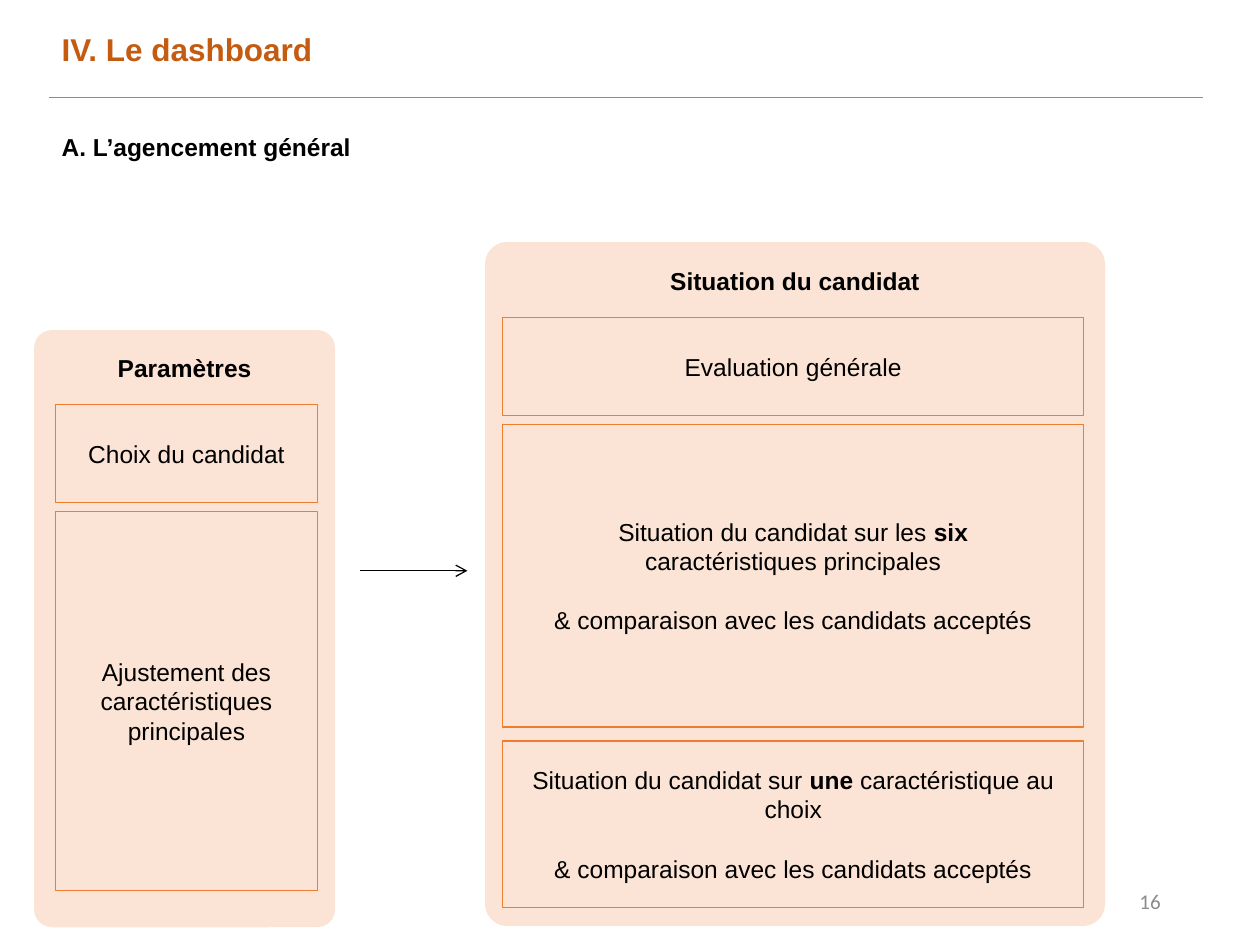
from dataclasses import dataclass

from lxml.etree import SubElement
from pptx import Presentation
from pptx.dml.color import RGBColor
from pptx.enum.shapes import MSO_CONNECTOR, MSO_SHAPE
from pptx.enum.text import MSO_ANCHOR, PP_ALIGN
from pptx.oxml.ns import qn
from pptx.util import Inches, Pt


@dataclass(frozen=True)
class Theme:
    font: str = "Arial"
    number_font: str = "Calibri"
    title: str = "C55A11"
    text: str = "000000"
    panel: str = "F8CBAD"
    border: str = "ED7D31"
    rule: str = "8C8C8C"
    number: str = "8C8C8C"
    title_size: int = 18
    body_size: int = 14
    number_size: int = 12
    paragraph_gap: int = 17


THEME = Theme()
WIDTH, HEIGHT = Inches(10), Inches(7.5)
BLOCK_INSET = Inches(0.23)
HEADING_INSET = Inches(0.14)


def percent(left, top, width, height):
    return (round(WIDTH * left / 100), round(HEIGHT * top / 100),
            round(WIDTH * width / 100), round(HEIGHT * height / 100))


def rgb(value):
    return RGBColor.from_string(value)


def style_run(run, size=THEME.body_size, color=THEME.text, bold=False, font=THEME.font):
    run.font.name = font
    run.font.size = Pt(size)
    run.font.color.rgb = rgb(color)
    run.font.bold = bold


def add_label(slide, area, text, align=PP_ALIGN.LEFT, anchor=MSO_ANCHOR.TOP, wrap=True, **style):
    label = slide.shapes.add_textbox(*percent(*area))
    frame = label.text_frame
    frame.word_wrap = wrap
    frame.vertical_anchor = anchor
    frame.text = text
    frame.paragraphs[0].alignment = align
    style_run(frame.paragraphs[0].runs[0], **style)


def add_panel(slide, area, corner, heading):
    panel = slide.shapes.add_shape(MSO_SHAPE.ROUNDED_RECTANGLE, *percent(*area))
    panel.adjustments[0] = corner
    panel.shadow.inherit = False
    panel.fill.solid()
    panel.fill.fore_color.rgb = rgb(THEME.panel)
    tint = panel.fill._xPr.find(qn("a:solidFill"))[0]
    SubElement(tint, qn("a:alpha"), val="50000")
    panel.line.fill.background()
    frame = panel.text_frame
    frame.vertical_anchor = MSO_ANCHOR.TOP
    frame.margin_top = HEADING_INSET
    frame.text = heading
    frame.paragraphs[0].alignment = PP_ALIGN.CENTER
    style_run(frame.paragraphs[0].runs[0], bold=True)


def add_block(slide, area, paragraphs):
    block = slide.shapes.add_shape(MSO_SHAPE.RECTANGLE, *percent(*area))
    block.shadow.inherit = False
    block.fill.background()
    block.line.color.rgb = rgb(THEME.border)
    block.line.width = Pt(0.75)
    frame = block.text_frame
    frame.word_wrap = True
    frame.vertical_anchor = MSO_ANCHOR.MIDDLE
    frame.margin_left = frame.margin_right = BLOCK_INSET
    for index, pieces in enumerate(paragraphs):
        paragraph = frame.add_paragraph() if index else frame.paragraphs[0]
        paragraph.alignment = PP_ALIGN.CENTER
        if index:
            paragraph.space_before = Pt(THEME.paragraph_gap)
        for text, bold in pieces:
            run = paragraph.add_run()
            run.text = text
            style_run(run, bold=bold)


def add_line(slide, start, end, top, color, weight, arrow=False):
    left, y, length, _ = percent(start, top, end - start, 0)
    line = slide.shapes.add_connector(MSO_CONNECTOR.STRAIGHT, left, y, left + length, y)
    line.line.color.rgb = rgb(color)
    line.line.width = Pt(weight)
    if arrow:
        SubElement(line.line._get_or_add_ln(), qn("a:tailEnd"), type="arrow")
    SubElement(line._element.spPr, qn("a:effectLst"))


def add_column(slide, panel, corner, heading, left, width, blocks):
    add_panel(slide, panel, corner, heading)
    for top, height, paragraphs in blocks:
        add_block(slide, (left, top, width, height), paragraphs)


def main():
    presentation = Presentation()
    presentation.slide_width, presentation.slide_height = WIDTH, HEIGHT
    slide = presentation.slides.add_slide(presentation.slide_layouts[6])

    add_label(slide, (3.9, 2.53, 22.1, 5.33), "IV. Le dashboard", wrap=False,
              size=THEME.title_size, color=THEME.title, bold=True)
    add_line(slide, 3.9, 95.5, 10.27, THEME.rule, 0.5)
    add_label(slide, (3.9, 13.33, 29.5, 4.53), "A. L’agencement général", bold=True)

    comparison = [("& comparaison avec les candidats acceptés", False)]
    add_column(slide, (2.7, 34.93, 23.9, 63.2), 0.06, "Paramètres", 4.4, 20.8, [
        (42.8, 10.4, [[("Choix du candidat", False)]]),
        (54.13, 40.13, [[("Ajustement des caractéristiques principales", False)]]),
    ])
    add_column(slide, (38.5, 25.6, 49.2, 72.4), 0.036, "Situation du candidat", 39.9, 46.1, [
        (33.6, 10.4, [[("Evaluation générale", False)]]),
        (44.93, 32, [[("Situation du candidat sur les ", False), ("six", True),
                      (" caractéristiques principales", False)], comparison]),
        (78.4, 17.6, [[("Situation du candidat sur ", False), ("une ", True),
                       ("caractéristique au choix", False)], comparison]),
    ])
    add_line(slide, 28.6, 37.1, 60.4, THEME.text, 0.75, arrow=True)

    add_label(slide, (70.6, 92.67, 22.5, 5.33), "16", PP_ALIGN.RIGHT, MSO_ANCHOR.MIDDLE,
              size=THEME.number_size, color=THEME.number, font=THEME.number_font)
    presentation.save("out.pptx")


if __name__ == "__main__":
    main()
